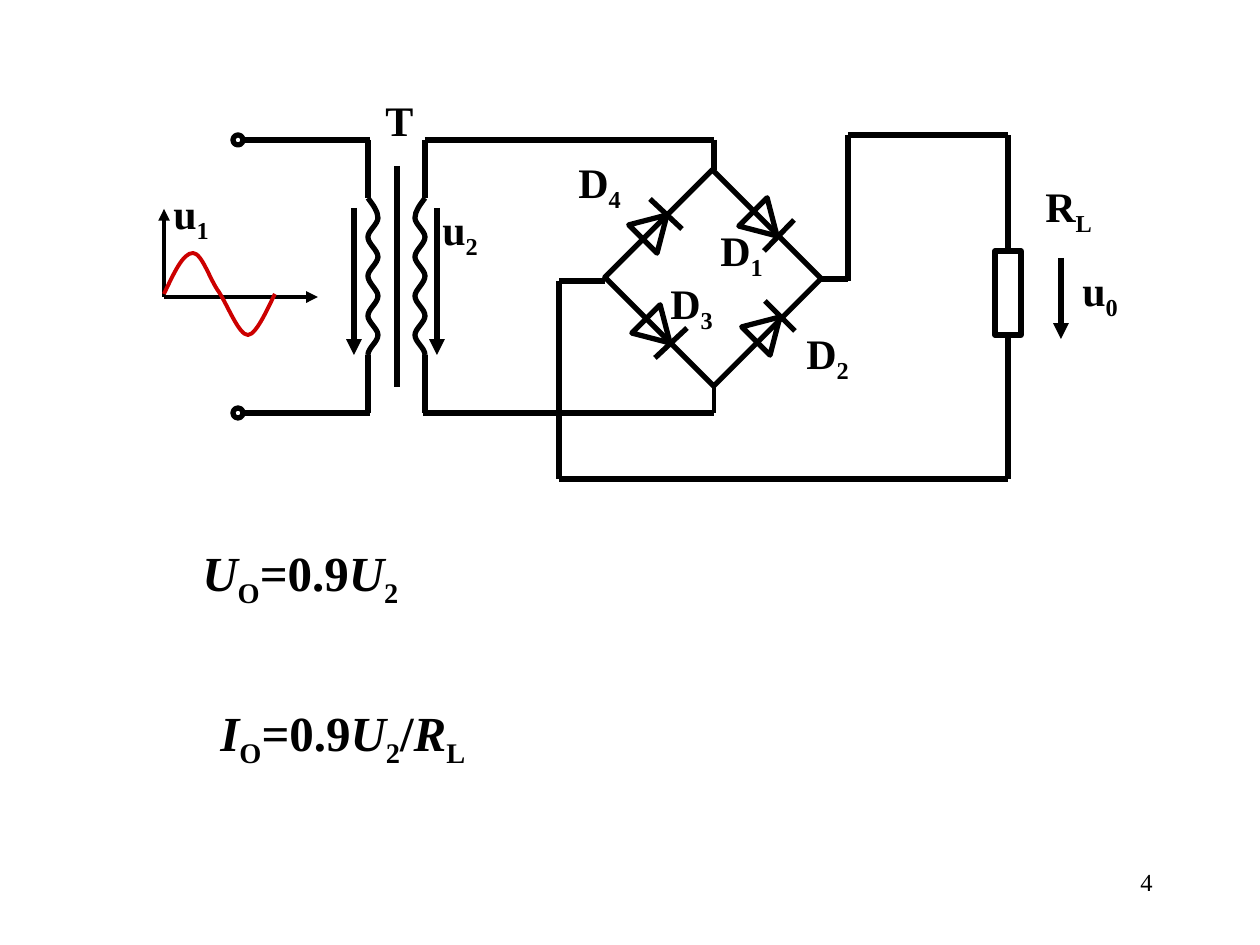
from pptx import Presentation
from pptx import util as u
from pptx.dml import color as c
from pptx.enum import shapes as s, text as t
from pptx.oxml import ns, xmlchemy as x

SCALE = 914400 / 126
BLACK = "000000"
RED = "CC0000"
FONT = "Times New Roman"

TERMINALS = [140, 413]
COIL_TOP, COIL_BOTTOM = 198, 355
PRIMARY, SECONDARY = 368, 425
LOAD = 1008

SINE = [
    (164, 294), (174, 273), (183, 253), (193, 253), (202, 253),
    (210, 280), (219, 292), (228, 306), (239, 335), (248, 335),
    (257, 335), (271, 301), (275, 294),
]
WIRES = [
    (397, 166, 397, 387),
    (SECONDARY, 140, 714, 140),
    (423, 413, 714, 413),
    (714, 140, 714, 170),
    (605, 281, 559, 281),
    (559, 281, 559, 479),
    (559, 479, LOAD, 479),
    (821, 279, 848, 279),
    (848, 135, 848, 281),
    (848, 135, LOAD, 135),
]
DIODES = [
    ((635, 210), 45, (650, 199, 682, 229)),
    ((748, 312), 45, (765, 301, 795, 331)),
    ((745, 207), 135, (794, 220, 764, 251)),
    ((638, 314), 135, (687, 328, 655, 358)),
]
LABELS = [
    ("u", "1", 161, 181, 77),
    ("u", "2", 430, 197, 77),
    ("D", "4", 566, 150, 77),
    ("D", "2", 794, 321, 77),
    ("D", "1", 708, 218, 77),
    ("D", "3", 658, 271, 77),
    ("R", "L", 1033, 174, 140),
    ("u", "0", 1070, 258, 102),
]


def px(value):
    """Turn pixels into EMU."""
    return u.Emu(round(value * SCALE))


def rgb(value):
    """Turn a hex string into a colour."""
    return c.RGBColor.from_string(value)


def set_line(item, color=BLACK, width=3):
    """Set the colour and width of an outline."""
    item.line.color.rgb = rgb(color)
    item.line.width = u.Pt(width)


def add_wire(shapes, ends, width=3, arrow=False):
    """Add a straight wire, with an arrowhead at its end if asked."""
    wire = shapes.add_connector(s.MSO_CONNECTOR.STRAIGHT, *map(px, ends))
    set_line(wire, width=width)
    properties = wire._element.spPr
    if arrow:
        x.OxmlElement
        head = x.OxmlElement("a:tailEnd")
        head.set("type", "triangle")
        wire.line._get_or_add_ln().append(head)
    properties.append(x.OxmlElement("a:effectLst"))
    return wire


def add_outline(shapes, kind, left, top, width, height, rotation=0):
    """Add an unfilled preset shape."""
    shape = shapes.add_shape(kind, *map(px, (left, top, width, height)))
    shape.rotation = rotation
    shape.shadow.inherit = False
    shape.fill.background()
    set_line(shape)
    return shape


def add_curve(shapes, points, color=BLACK, width=3):
    """Add a Bezier curve from a start point and triples of points."""
    builder = shapes.build_freeform(*points[0], scale=SCALE)
    builder.add_line_segments(points[1:], close=False)
    shape = builder.convert_to_shape()
    segments = list(shape._element.iter(ns.qn("a:lnTo")))
    for first in range(0, len(segments), 3):
        bezier = x.OxmlElement("a:cubicBezTo")
        segments[first].addprevious(bezier)
        for segment in segments[first:first + 3]:
            bezier.append(segment[0])
            segment.getparent().remove(segment)
    shape.shadow.inherit = False
    shape.fill.background()
    set_line(shape, color, width)


def add_text(shapes, runs, left, top, width, height=63, size=24, bold=True,
             align=t.PP_ALIGN.LEFT, wrap=True):
    """Add a line of text from pairs of wording and style."""
    box = shapes.add_textbox(*map(px, (left, top, width, height)))
    box.text_frame.word_wrap = wrap
    box.text_frame.auto_size = t.MSO_AUTO_SIZE.SHAPE_TO_FIT_TEXT
    paragraph = box.text_frame.paragraphs[0]
    paragraph.alignment = align
    for wording, style in runs:
        run = paragraph.add_run()
        run.text = wording
        run.font.name = FONT
        run.font.size = u.Pt(size)
        run.font.bold = bold
        run.font.italic = style == "italic"
        run.font.color.rgb = rgb(BLACK)
        if style == "sub":
            run._r.get_or_add_rPr().set("baseline", "-25000")


def add_coil(shapes, left, bulge):
    """Add a winding of eight half waves and its two leads."""
    step = (COIL_BOTTOM - COIL_TOP) / 8
    points = [(left, COIL_TOP)]
    for index in range(8):
        start, end = (left, left + bulge)[::1 if index % 2 == 0 else -1]
        top = COIL_TOP + index * step
        control = left + bulge / 2 if index == 0 else start
        points += [(control, round(top + step / 3)),
                   (end, round(top + step * 2 / 3)),
                   (end, round(top + step))]
    add_curve(shapes, points)
    add_wire(shapes, (left, TERMINALS[0], left, COIL_TOP))
    add_wire(shapes, (left, COIL_BOTTOM, left, TERMINALS[1]))


def add_source(shapes):
    """Add the input terminals and the input wave."""
    for y in TERMINALS:
        add_wire(shapes, (244, y, 370, y))
        add_outline(shapes, s.MSO_SHAPE.OVAL, 233, y - 5, 10, 10)
    for end in [(164, 209), (318, 297)]:
        add_wire(shapes, (164, 297, *end), width=2.25, arrow=True)
    add_curve(shapes, SINE, RED, 2.25)


def add_bridge(shapes):
    """Add the diamond of four diodes."""
    add_outline(shapes, s.MSO_SHAPE.RECTANGLE, 636, 202, 154, 152, 45)
    for corner, rotation, bar in DIODES:
        add_wire(shapes, bar)
        add_outline(shapes, s.MSO_SHAPE.ISOSCELES_TRIANGLE, *corner, 40, 34,
                    rotation)


def add_load(shapes):
    """Add the load resistor joined to its wires."""
    resistor = add_outline(shapes, s.MSO_SHAPE.RECTANGLE, LOAD - 13, 251, 26, 84)
    for site, ends in [(0, (LOAD, 251, LOAD, 135)),
                       (2, (LOAD, 335, LOAD, 479))]:
        add_wire(shapes, ends).begin_connect(resistor, site)


def main():
    """Build the slide and save it."""
    presentation = Presentation()
    presentation.slide_width = px(1260)
    presentation.slide_height = px(945)
    slide = presentation.slides.add_slide(presentation.slide_layouts[6])
    add_text(slide.shapes, [("4", "")], 903, 861, 262, size=14, bold=False,
             align=t.PP_ALIGN.RIGHT)

    circuit = slide.shapes.add_group_shape().shapes
    add_source(circuit)
    add_coil(circuit, PRIMARY, 10)
    add_coil(circuit, SECONDARY, -10)
    for ends in WIRES:
        add_wire(circuit, ends)
    add_wire(circuit, (714, 413, 714, 387), width=2.25)
    add_bridge(circuit)
    add_load(circuit)
    for left, top, bottom in [(354, 208, 355), (437, 208, 355), (1061, 258, 339)]:
        add_wire(circuit, (left, top, left, bottom), arrow=True)
    add_text(circuit, [("T", "")], 373, 88, 53, wrap=False)
    for letter, index, left, top, width in LABELS:
        add_text(circuit, [(letter, ""), (index, "sub")], left, top, width)

    current = [("I", "italic"), ("O", "sub"), ("=0.9", ""), ("U", "italic"),
               ("2", "sub"), ("/", ""), ("R", "italic"), ("L", "sub")]
    voltage = [("U", "italic"), *current[1:5]]
    add_text(slide.shapes, current, 208, 696, 358, 72, size=28)
    add_text(slide.shapes, voltage, 190, 536, 358, 72, size=28)
    presentation.save("out.pptx")


if __name__ == "__main__":
    main()
